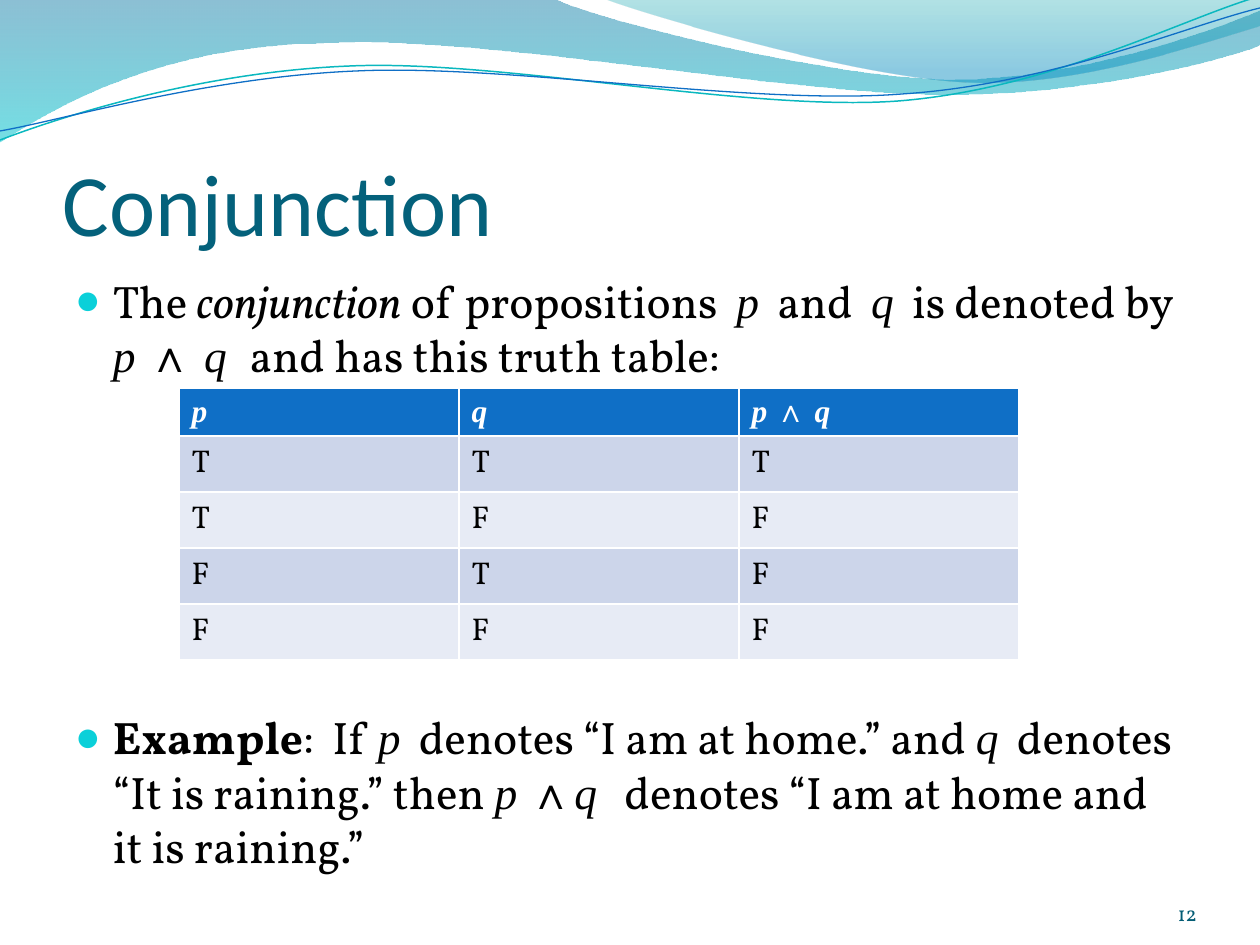
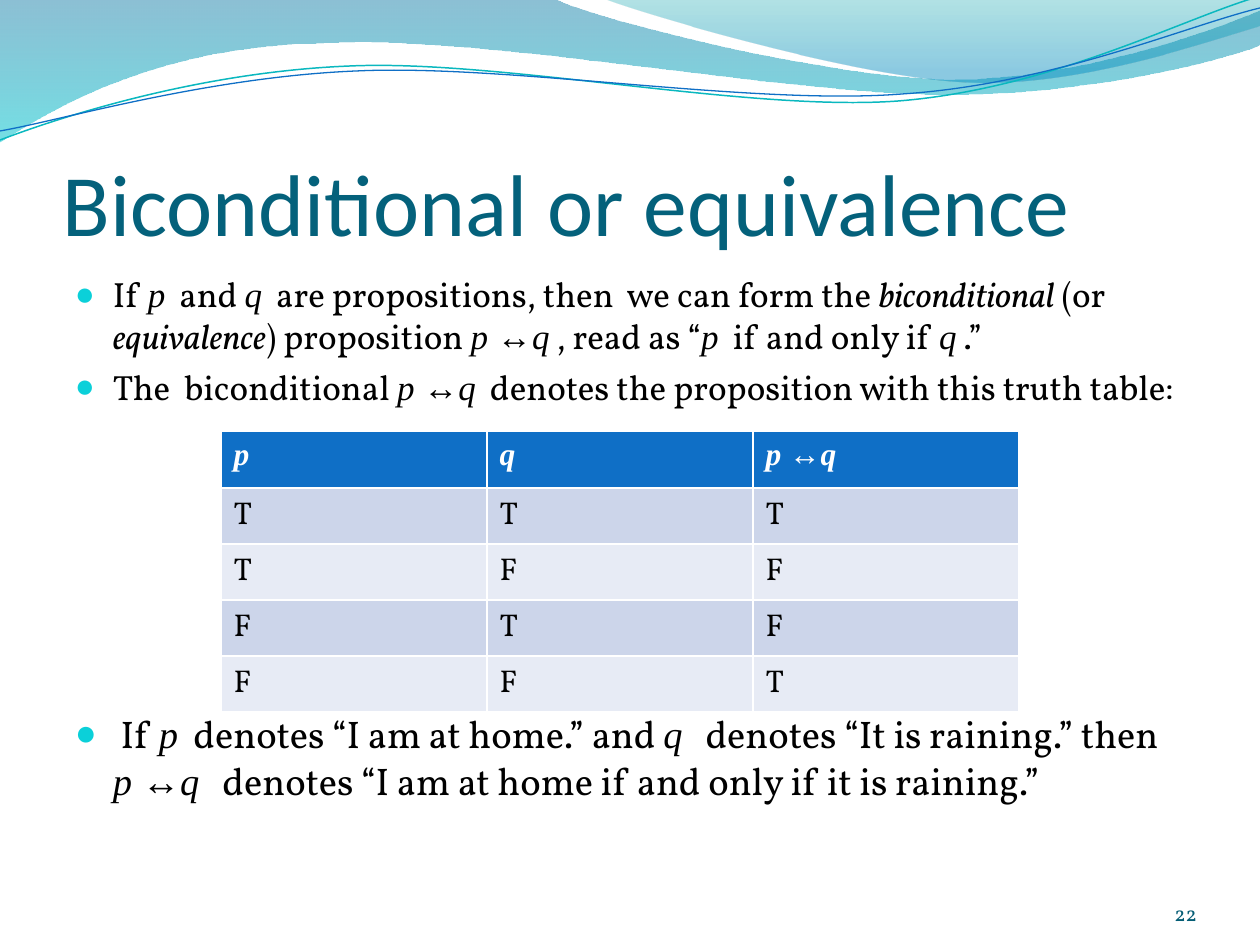
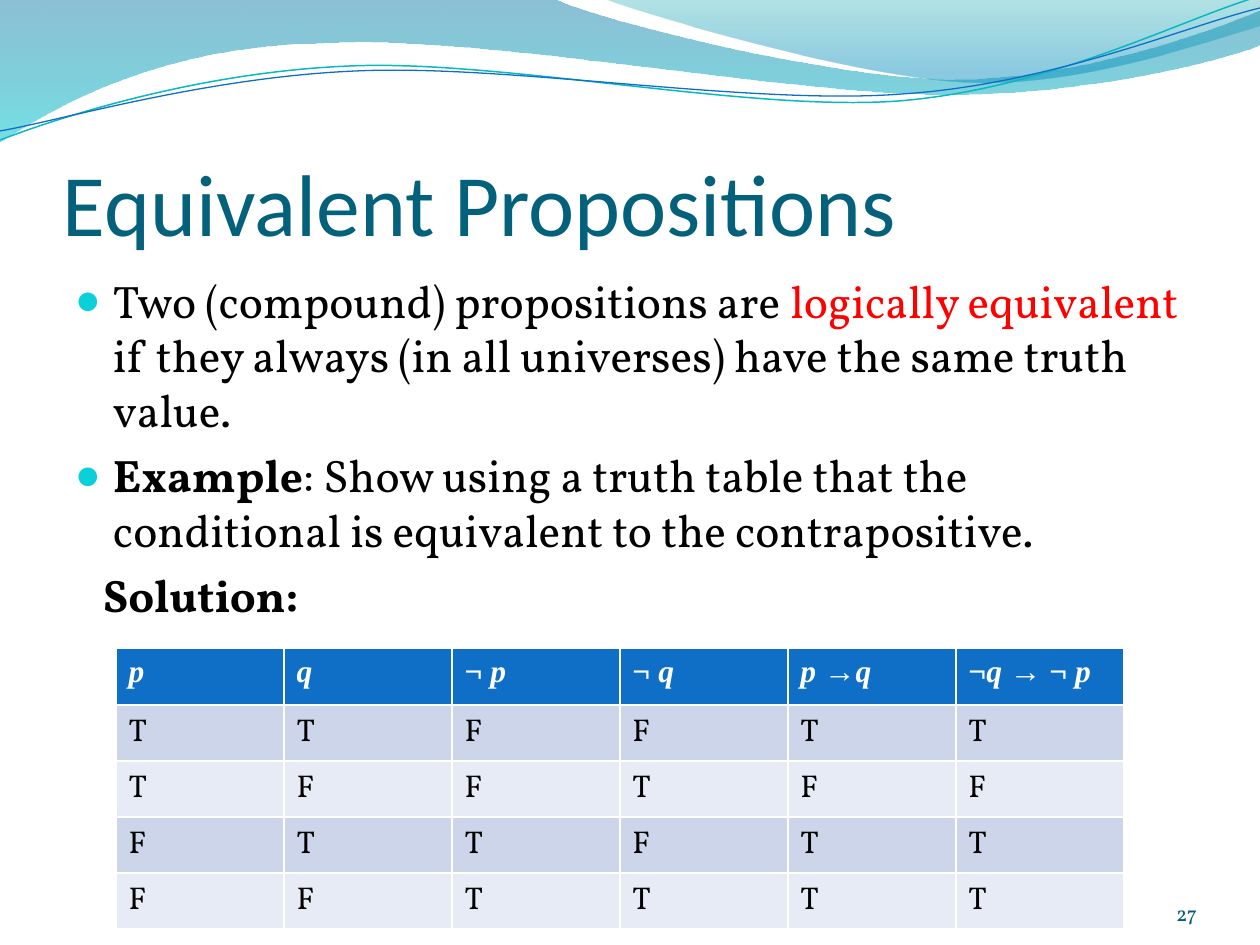
from lxml.etree import SubElement
from pptx import Presentation
from pptx.dml.color import RGBColor
from pptx.enum.text import MSO_ANCHOR as Anchor, PP_ALIGN as Align
from pptx.oxml.ns import qn
from pptx.util import Pt

PX = 914400 / 126  # EMU per px
SERIF, SANS, MATH = "Vollkorn", "Calibri", "Times New Roman"

COLORS = {
    "title": "04617B", "number": "045D75", "text": "000000", "accent": "FF0000",
    "bullet": "0BD0D9", "header": "0F6FC6", "odd": "CCD5EA", "even": "E7EBF5",
    "white": "FFFFFF", "teal line": "0AB8BF", "blue line": "0F6FC6",
    "deep blue": "0074A1", "cyan": "00C6CF", "teal": "00A1A9", "sky": "008BBF",
}

# Boxes shared by the slides: left, top, width, height
PAGE = (0, 0, 1260, 945)
TITLE = (63, 96, 1134, 158)
BODY = (63, 267, 1134, 605)
NUMBER = (1092, 876, 105, 50)
ROW_HEIGHT = 56

# Waves: a start, then line ends (2 numbers) or Bézier pieces (6 numbers)
WIDE_WAVE = [(0, 0), (554, -1), (600, 21, 837, 79, 955, 79),
             (1075, 79, 1207, 33, 1260, 11), (1261, 45),
             (1239, 55, 1096, 96, 940, 94), (784, 94, 481, 35, 324, 43),
             (163, 45, 58, 105, -1, 142)]
RIGHT_WAVE = [(604, -1), (641, 14, 859, 78, 969, 82),
              (1079, 87, 1211, 40, 1260, 26), (1260, 0)]
TEAL_CURVE = [(0, 140), (60, 117, 199, 72, 349, 66),
              (499, 59, 747, 112, 898, 101), (1050, 89, 1182, 19, 1257, -3)]
BLUE_CURVE = [(0, 131), (59, 121, 207, 77, 357, 71),
              (508, 64, 752, 106, 903, 94), (1053, 84, 1186, 26, 1260, 8)]

# Gradient stops: position, colour, opacity in percent
WIDE_STOPS = [(0, "deep blue", 45), (1, "cyan", 55)]
RIGHT_STOPS = [(0, "teal", 30), (0.8, "sky", 45)]

# Runs of text that recur
P, Q = ("p", "variable"), ("q", "variable")
P_SPACE, Q_SPACE = ("p ", "variable"), ("q ", "variable")
NOT = ("¬ ", "symbol")
IFF = [P_SPACE, ("↔", "symbol"), Q]


def px(length):
    return round(length * PX)


def rgb(name):
    return RGBColor.from_string(COLORS[name])


def set_font(font, name, size, color, bold=None):
    font.name, font.size, font.bold = name, Pt(size), bold
    font.color.rgb = rgb(color)


def add_runs(paragraph, runs):
    """Write (text, style) pairs; a plain string has the paragraph's style."""
    for item in runs:
        text, style = (item, "plain") if isinstance(item, str) else item
        run = paragraph.add_run()
        run.text = text
        if style in ("variable", "symbol"):
            run.font.name = MATH
        if style in ("variable", "italic"):
            run.font.italic = True
        if style == "bold":
            run.font.bold = True
        if style == "accent":
            run.font.color.rgb = rgb("accent")


def add_text_box(slide, box, anchor, margin_top=0, margin_side=0):
    frame = slide.shapes.add_textbox(*map(px, box)).text_frame
    frame.word_wrap = True
    frame.vertical_anchor = anchor
    frame.margin_left = frame.margin_right = px(margin_side)
    frame.margin_top, frame.margin_bottom = px(margin_top), 0
    return frame


# Wave band
def add_outline(slide, box, pieces, close):
    """Draw straight pieces through every point, then bend the Bézier ones."""
    points = [(px(box[0] + piece[i]), px(box[1] + piece[i + 1]))
              for piece in pieces for i in range(0, len(piece), 2)]
    builder = slide.shapes.build_freeform(*points[0], scale=1.0)
    builder.add_line_segments(points[1:], close=close)
    shape = builder.convert_to_shape()
    shape.shadow.inherit = False

    lines = iter(list(shape._element.iter(qn("a:lnTo"))))
    for piece in pieces[1:]:
        segments = [next(lines) for _ in range(len(piece) // 2)]
        if len(segments) == 3:
            curve = segments[0].makeelement(qn("a:cubicBezTo"))
            segments[0].addprevious(curve)
            for segment in segments:
                curve.append(segment[0])
                segment.getparent().remove(segment)
    return shape


def add_waves(slide, box):
    for pieces, stops in ((WIDE_WAVE, WIDE_STOPS), (RIGHT_WAVE, RIGHT_STOPS)):
        wave = add_outline(slide, box, pieces, True)
        wave.line.fill.background()
        wave.fill.gradient()
        wave.fill.gradient_angle = 270
        for stop, (position, color, _) in zip(wave.fill.gradient_stops, stops):
            stop.position = position
            stop.color.rgb = rgb(color)
        for element, (_, _, opacity) in zip(wave._element.spPr.iter(qn("a:srgbClr")), stops):
            SubElement(element, qn("a:alpha"), val=str(opacity * 1000))
    for pieces, color, width in ((TEAL_CURVE, "teal line", 0.85),
                                 (BLUE_CURVE, "blue line", 0.75)):
        curve = add_outline(slide, box, pieces, False)
        curve.fill.background()
        curve.line.color.rgb = rgb(color)
        curve.line.width = Pt(width)


# Title and slide number
def add_title(slide, box, text):
    paragraph = add_text_box(slide, box, Anchor.BOTTOM, 6).paragraphs[0]
    paragraph.text = text
    set_font(paragraph.font, SANS, 50, "title")


def add_number(slide, box, number):
    paragraph = add_text_box(slide, box, Anchor.BOTTOM).paragraphs[0]
    paragraph.text = str(number)
    paragraph.alignment = Align.RIGHT
    set_font(paragraph.font, SERIF, 12, "number")


# Bulleted body
def set_bullet(paragraph):
    properties = paragraph._p.get_or_add_pPr()
    properties.set("marL", str(px(38)))
    properties.set("indent", str(px(-38)))
    color = SubElement(properties, qn("a:buClr"))
    SubElement(color, qn("a:srgbClr"), val=COLORS["bullet"])
    SubElement(properties, qn("a:buSzPct"), val="95000")
    SubElement(properties, qn("a:buFont"), typeface=MATH)
    SubElement(properties, qn("a:buChar"), char="●")


def add_body(slide, box, items):
    """Each item: size in points, space before in points, bulleted, runs."""
    frame = add_text_box(slide, box, Anchor.TOP, 6, 12)
    for index, (size, space, bulleted, runs) in enumerate(items):
        paragraph = frame.add_paragraph() if index else frame.paragraphs[0]
        if bulleted:
            set_bullet(paragraph)
        else:
            paragraph._p.get_or_add_pPr().set("marL", str(px(28)))
        if space:
            paragraph.space_before = Pt(space)
        set_font(paragraph.font, SERIF, size, "text")
        add_runs(paragraph, runs)


# Truth table
def add_truth_table(slide, box, headers, rows):
    """Give the header whatever height the equal rows leave over."""
    grid = [headers] + [list(row) for row in rows]
    table = slide.shapes.add_table(len(grid), len(headers), *map(px, box)).table
    for column in table.columns:
        column.width = px(box[2] // len(headers))
    for row, values in enumerate(grid):
        table.rows[row].height = px(ROW_HEIGHT if row else box[3] - ROW_HEIGHT * len(rows))
        for column, value in enumerate(values):
            cell = table.cell(row, column)
            cell.fill.solid()
            cell.fill.fore_color.rgb = rgb("header" if row == 0 else "odd" if row % 2 else "even")
            paragraph = cell.text_frame.paragraphs[0]
            if row == 0:
                cell.margin_bottom = px(4)
                set_font(paragraph.font, MATH, 18, "white", True)
            else:
                set_font(paragraph.font, SERIF, 18, "text", False)
            add_runs(paragraph, value)


def add_slide(presentation, title, number, body, table):
    slide = presentation.slides.add_slide(presentation.slide_layouts[6])
    add_waves(slide, PAGE)
    add_title(slide, TITLE, title)
    add_body(slide, BODY, body)
    add_truth_table(slide, *table)
    add_number(slide, NUMBER, number)


def main():
    presentation = Presentation()
    presentation.slide_width, presentation.slide_height = px(PAGE[2]), px(PAGE[3])

    add_slide(
        presentation, "Conjunction", 12,
        [
            (26, 0, True, ["The ", ("conjunction", "italic"), " of propositions  ", P,
                           "  and  ", Q, "  is denoted by ", P_SPACE, ("∧ ", "symbol"),
                           ("q  ", "variable"), "and has this truth table:"]),
            (26, 187, True, [("Example", "bold"), ":  If ", P,
                             "  denotes “I am at home.” and ", Q,
                             "  denotes “It is raining.” then ", P_SPACE, ("∧", "symbol"), Q,
                             "   denotes “I am at home and it is raining.”"]),
        ],
        ((179, 388, 840, 272),
         [[P], [Q], [P_SPACE, ("∧ ", "symbol"), Q]],
         ["TTT", "TFF", "FTF", "FFF"]))

    add_slide(
        presentation, "Biconditional or equivalence", 22,
        [
            (20, 0, True, ["If ", P, "  and ", Q,
                           "  are propositions, then  we can form the ",
                           ("biconditional", "italic"), " (or", (" equivalence", "italic"),
                           ") proposition ", *IFF, " , read as “", P,
                           "  if and only if ", Q, " .”"]),
            (20, 5, True, ["The  biconditional ", *IFF,
                           "  denotes the proposition with this truth table:"]),
            (22, 173, True, [" If ", P, "  denotes “I am at home.” and ", Q,
                             "   denotes “It is raining.” then ", *IFF,
                             "   denotes “I am at home if and only if it is raining.”"]),
        ],
        ((221, 431, 798, 281), [[P], [Q], IFF],
         ["TTT", "TFF", "FTF", "FFT"]))

    add_slide(
        presentation, "Equivalent Propositions", 27,
        [
            (26, 0, True, ["Two (compound) propositions are ",
                           ("logically equivalent ", "accent"),
                           "if they always (in all universes) have the same truth value."]),
            (26, 6, True, [("Example", "bold"),
                           ": Show using a truth table that the conditional is "
                           "equivalent to the contrapositive."]),
            (26, 6, False, [("Solution:", "bold")]),
        ],
        ((116, 648, 1008, 281),
         [[P], [Q], [NOT, P], [NOT, Q], [P_SPACE, ("→", "symbol"), Q],
          [("¬", "symbol"), Q_SPACE, ("→ ¬ ", "symbol"), P]],
         ["TTFFTT", "TFFTFF", "FTTFTT", "FFTTTT"]))

    presentation.save("out.pptx")


if __name__ == "__main__":
    main()
